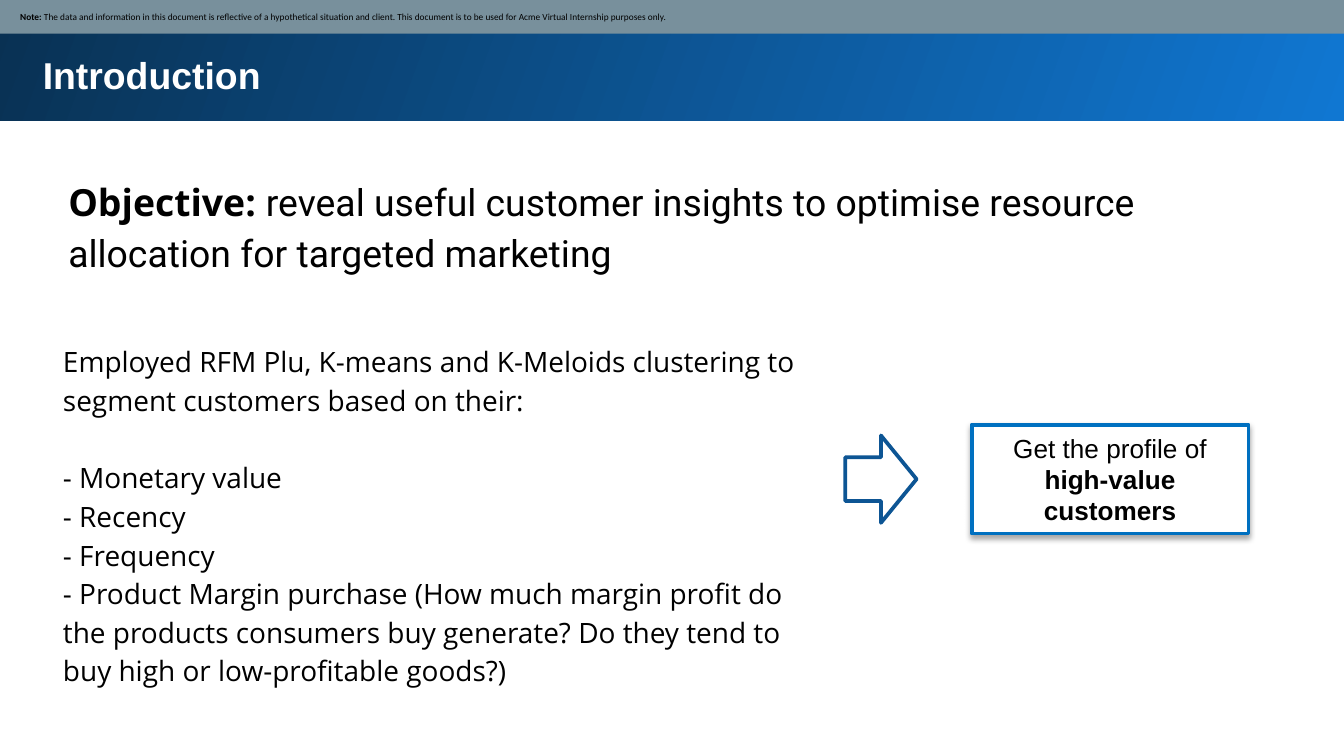
import pptx
import pptx.util
import pptx.dml.color
import pptx.enum.shapes
import pptx.enum.text
import pptx.oxml
import pptx.oxml.ns
from lxml import etree

Pt = pptx.util.Pt
SHAPE = pptx.enum.shapes.MSO_SHAPE
ANCHOR = pptx.enum.text.MSO_ANCHOR
ALIGN = pptx.enum.text.PP_ALIGN
FIT = pptx.enum.text.MSO_AUTO_SIZE

# Grid: 100 columns wide, square cells
CELL = pptx.util.Inches(0.1)
COLS, ROWS = 100, 56.25

COLORS = {
    "white": "FFFFFF", "black": "000000", "note": "78909C",
    "light": "1077D2", "dark": "093153", "frame": "0070C0", "arrow": "0D5594",
}


def rgb(name):
    return pptx.dml.color.RGBColor.from_string(COLORS[name])


def place(box):
    return [round(n * CELL) for n in box]


def add_box(slide, box, fill=None, line=None, kind=SHAPE.RECTANGLE):
    shape = slide.shapes.add_shape(kind, *place(box))
    shape.shadow.inherit = False
    if fill:
        shape.fill.solid()
        shape.fill.fore_color.rgb = rgb(fill)
    if line:
        shape.line.color.rgb = rgb(line)
        shape.line.width = Pt(2)
        ln = shape._element.spPr.find(pptx.oxml.ns.qn("a:ln"))
        etree.SubElement(ln, pptx.oxml.ns.qn("a:round"))
    else:
        shape.line.fill.background()
    return shape


def set_frame(shape, inset, anchor=ANCHOR.TOP, grow=True):
    frame = shape.text_frame
    frame.word_wrap = True
    frame.vertical_anchor = anchor
    frame.auto_size = FIT.SHAPE_TO_FIT_TEXT if grow else FIT.NONE
    frame.margin_left = frame.margin_right = round(inset * CELL)
    frame.margin_top = frame.margin_bottom = round(inset * CELL)
    return frame


def write(par, runs, size, color="black", align=ALIGN.LEFT, space=None):
    """Fill a paragraph with runs of (text, font, bold)."""
    par.alignment = align
    par.line_spacing = space
    for text, font, bold in runs:
        run = par.add_run()
        run.text = text
        run.font.name = font
        run.font.size = Pt(size)
        run.font.bold = bold
        run.font.color.rgb = rgb(color)


def add_text(slide, box):
    return set_frame(slide.shapes.add_textbox(*place(box)), 1)


def add_head(slide, box):
    left, top, width, height = box
    # Gradient band
    band = add_box(slide, box)
    band.fill.gradient()
    band.fill.gradient_angle = 160
    for stop, name in zip(band.fill.gradient_stops, ("light", "dark")):
        stop.color.rgb = rgb(name)
    # Title
    frame = add_text(slide, (left + 2.2, top + 2.9, width - 6.3, 5.1))
    write(frame.paragraphs[0], [("Introduction", "Arial", True)], 20, "white")
    # Note strip
    strip = add_box(slide, (left, top, width, 2.5), "note")
    frame = set_frame(strip, 0.5, ANCHOR.MIDDLE, False)
    frame.margin_left = round(1.5 * CELL)
    write(frame.paragraphs[0], [
        ("Note: ", "Calibri", True),
        ("The data and information in this document is reflective of a "
         "hypothetical situation and client. This document is to be used for "
         "Acme Virtual Internship purposes only.", "Calibri", False),
    ], 5)


def add_goal(slide, box):
    frame = add_text(slide, box)
    write(frame.paragraphs[0], [
        ("Objective: ", "Open Sans", True),
        ("reveal useful customer insights to optimise resource allocation "
         "for targeted marketing", "Roboto", False),
    ], 20, space=1.15)


def add_method(slide, box):
    frame = add_text(slide, box)
    lines = [
        "Employed RFM Plu, K-means and K-Meloids clustering to segment "
        "customers based on their:",
        "- Monetary value",
        "- Recency",
        "- Frequency",
        "- Product Margin purchase (How much margin profit do the products "
        "consumers buy generate? Do they tend to buy high or "
        "low-profitable goods?)",
    ]
    for i, line in enumerate(lines):
        par = frame.paragraphs[0] if i == 0 else frame.add_paragraph()
        write(par, [(line, "Open Sans", False)], 15, space=1.15)
    frame.paragraphs[0].space_after = Pt(20.7)


def add_shade(shape):
    effects = shape._element.spPr.find(pptx.oxml.ns.qn("a:effectLst"))
    effects.append(pptx.oxml.parse_xml(
        f'<a:outerShdw {pptx.oxml.ns.nsdecls("a")} blurRad="{Pt(3)}" '
        f'dist="{Pt(1.8)}" dir="5400000" rotWithShape="0">'
        f'<a:srgbClr val="{COLORS["black"]}"><a:alpha val="35000"/>'
        '</a:srgbClr></a:outerShdw>'))


def add_result(slide, box):
    left, top, width, height = box
    # Framed outcome at the right end
    card = add_box(slide, (left + width - 20.6, top, 20.6, height),
                   "white", "frame")
    add_shade(card)
    frame = set_frame(card, 0.5, ANCHOR.MIDDLE)
    write(frame.paragraphs[0], [
        ("Get the profile of ", "Arial", False),
        ("high-value customers", "Arial", True),
    ], 14, align=ALIGN.CENTER)
    # Arrow at the left end, centred on the card
    add_box(slide, (left, top + (height - 6.5) / 2, 5.3, 6.5),
            "white", "arrow", SHAPE.RIGHT_ARROW)


def main():
    deck = pptx.Presentation()
    deck.slide_width = COLS * CELL
    deck.slide_height = round(ROWS * CELL)
    slide = deck.slides.add_slide(deck.slide_layouts[6])
    add_head(slide, (0, 0, COLS, 9))
    add_goal(slide, (4.1, 11.8, 93.7, 9.5))
    add_method(slide, (3.7, 24.3, 56.8, 28))
    add_result(slide, (62.9, 31.6, 30, 8.1))
    deck.save("out.pptx")


if __name__ == "__main__":
    main()
